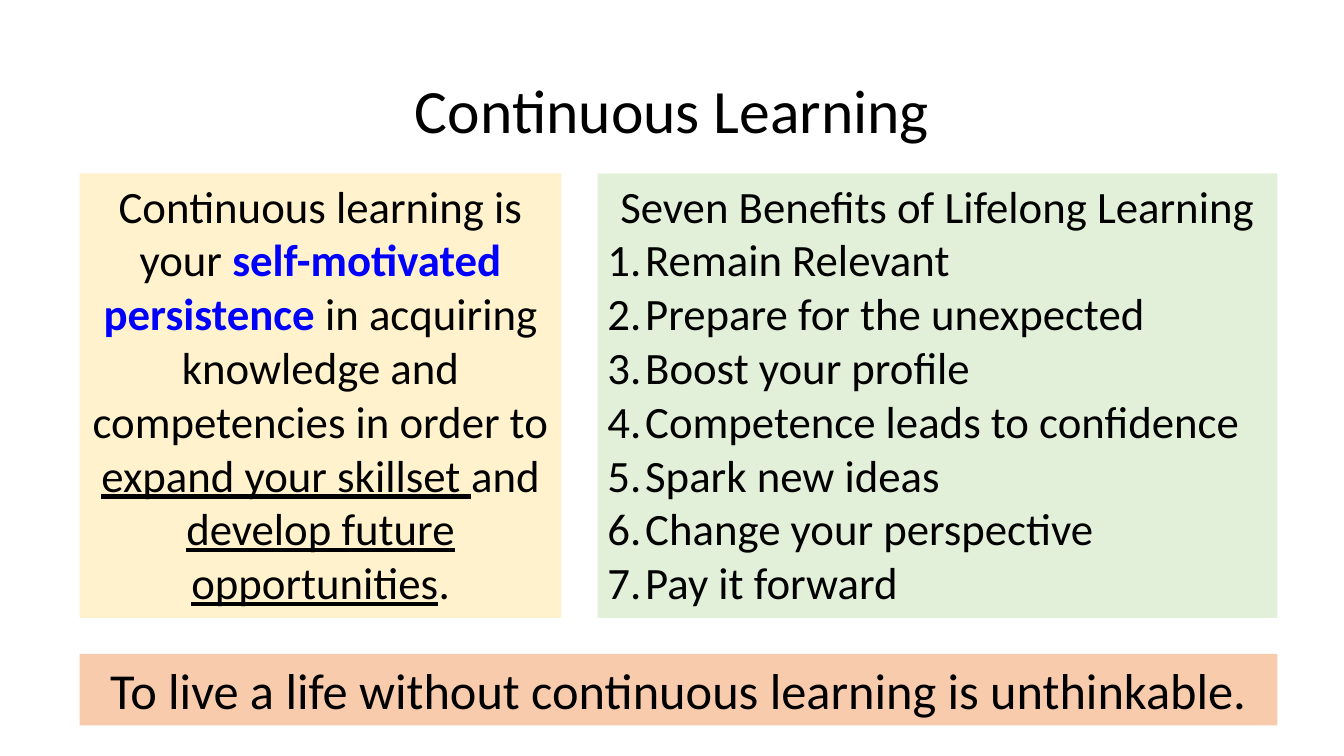
from lxml import etree
from pptx import Presentation, util as u
from pptx.dml.color import RGBColor
from pptx.enum import shapes, text
from pptx.oxml.ns import qn

COLORS = {
    "black": "000000", "blue": "0000FF",
    "cream": "FFF2CC", "green": "E2F0D9", "peach": "F8CBAD",
}
PLAIN = {"bold": False, "underline": False}
BOLD = {"bold": True, "underline": False}
UNDERLINED = {"bold": False, "underline": True}


def add_panel(s, box, fill, anchor):
    sp = s.shapes.add_shape(shapes.MSO_SHAPE.RECTANGLE, *map(u.Cm, box))
    sp.shadow.inherit = False
    sp.line.fill.background()
    sp.fill.solid()
    sp.fill.fore_color.rgb = RGBColor.from_string(COLORS[fill])
    tf = sp.text_frame
    tf.word_wrap = True
    tf.vertical_anchor = anchor
    return tf


def add_run(p, words, size, color="black", style=PLAIN):
    r = p.add_run()
    r.text = words
    r.font.name = "Calibri"
    r.font.size = u.Pt(size)
    r.font.color.rgb = RGBColor.from_string(COLORS[color])
    for name, value in style.items():
        setattr(r.font, name, value)


prs = Presentation()
prs.slide_width, prs.slide_height = u.Cm(33.87), u.Cm(19.05)
s = prs.slides.add_slide(prs.slide_layouts[6])
TOP = text.MSO_ANCHOR.TOP
CENTER = text.PP_ALIGN.CENTER

# Title
sp = s.shapes.add_textbox(*map(u.Cm, (2.34, 1.02, 29.21, 3.68)))
tf = sp.text_frame
tf.word_wrap = True
tf.vertical_anchor = text.MSO_ANCHOR.MIDDLE
p = tf.paragraphs[0]
p.alignment = CENTER
p.line_spacing = 0.9
add_run(p, "Continuous Learning", 44)

# Definition
tf = add_panel(s, (2.01, 4.37, 12.14, 11.2), "cream", TOP)
p = tf.paragraphs[0]
p.alignment = CENTER
definition = [
    ("Continuous learning is your ", "black", PLAIN),
    ("self-motivated persistence ", "blue", BOLD),
    ("in acquiring knowledge and competencies in order to ", "black", PLAIN),
    ("expand your skillset ", "black", UNDERLINED),
    ("and ", "black", PLAIN),
    ("develop future opportunities", "black", UNDERLINED),
    (".", "black", PLAIN),
]
for words, color, style in definition:
    add_run(p, words, 32, color, style)

# Benefits, numbered under a centred heading
tf = add_panel(s, (15.06, 4.37, 17.13, 11.2), "green", TOP)
p = tf.paragraphs[0]
p.alignment = CENTER
add_run(p, "Seven Benefits of Lifelong Learning", 32)
benefits = [
    "Remain Relevant",
    "Prepare for the unexpected",
    "Boost your profile",
    "Competence leads to confidence",
    "Spark new ideas",
    "Change your perspective",
    "Pay it forward",
]
indent = u.Cm(0.95)
for benefit in benefits:
    p = tf.add_paragraph()
    p.alignment = text.PP_ALIGN.LEFT
    add_run(p, benefit, 32)
    pPr = p._p.get_or_add_pPr()
    pPr.set("marL", str(indent))
    pPr.set("indent", str(-indent))
    etree.SubElement(pPr, qn("a:buFont"), typeface="+mj-lt")
    etree.SubElement(pPr, qn("a:buAutoNum"), type="arabicPeriod")

# Closing statement
tf = add_panel(s, (2.01, 16.48, 30.18, 1.8), "peach", TOP)
p = tf.paragraphs[0]
p.alignment = CENTER
add_run(p, "To live a life without continuous learning is unthinkable.", 36)

prs.save("out.pptx")
